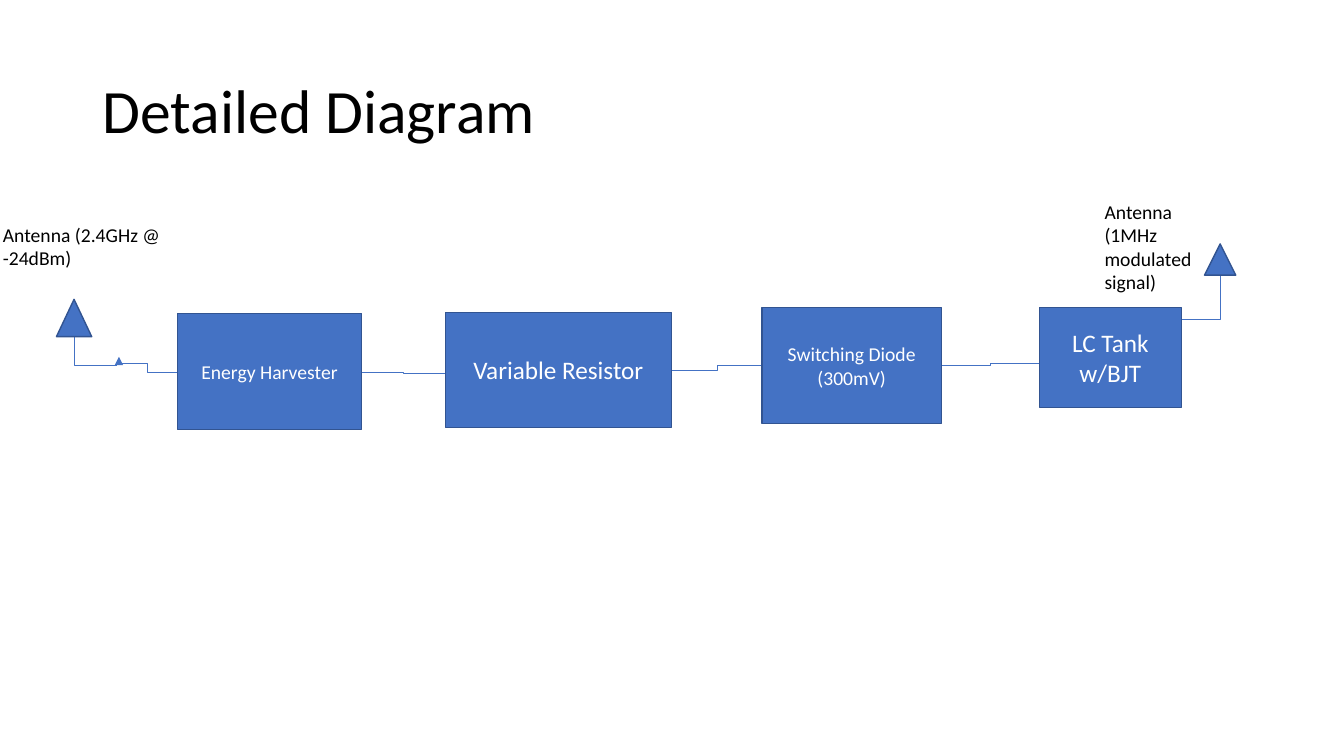
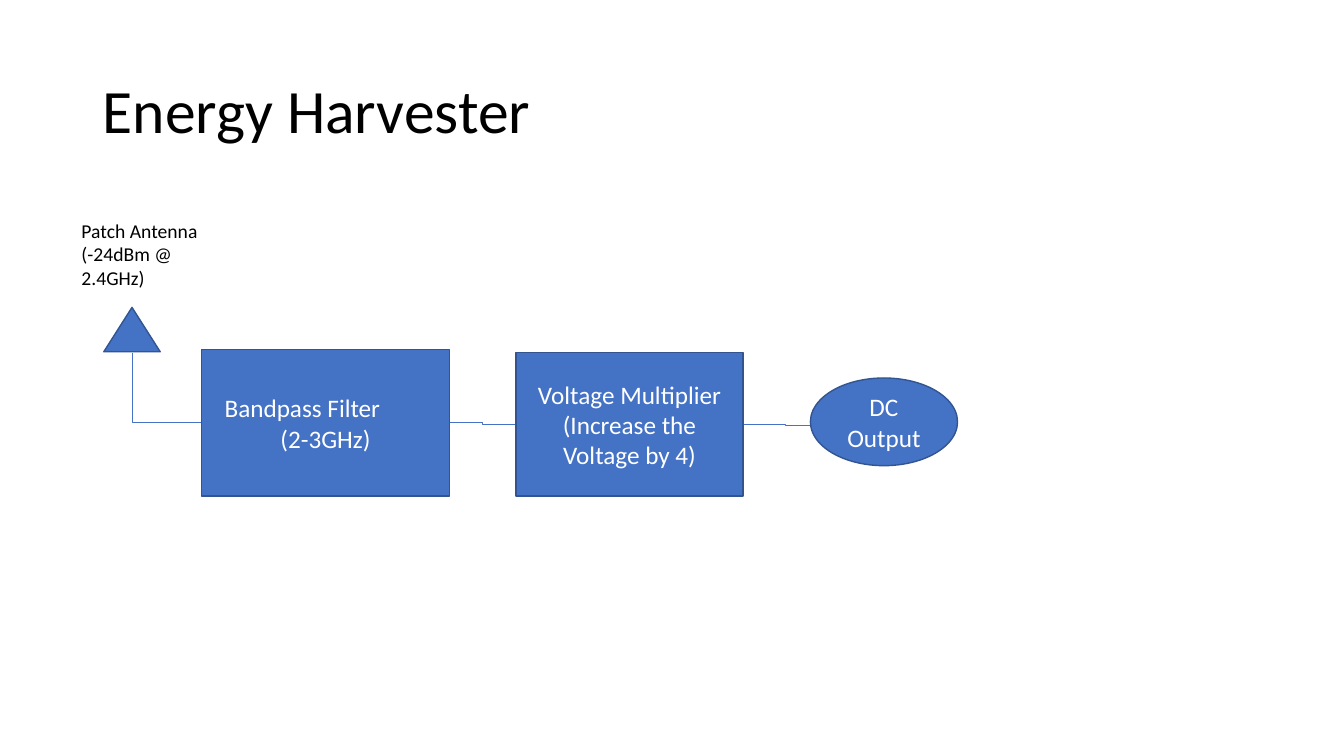
from lxml import etree
from pptx import Presentation, util as u
from pptx.dml.color import RGBColor
from pptx.enum import shapes, text
from pptx.oxml.ns import qn

PX = 9144
FONT = "Calibri"
BLUE, EDGE, BLACK, WHITE = "4472C4", "325491", "000000", "FFFFFF"
RECT = shapes.MSO_SHAPE.RECTANGLE
OVAL = shapes.MSO_SHAPE.OVAL
PEAK = shapes.MSO_SHAPE.ISOSCELES_TRIANGLE
LEFT, MID = text.PP_ALIGN.LEFT, text.PP_ALIGN.CENTER
TITLE = (92, 40, 1150, 145)


def hue(code):
    return RGBColor.from_string(code)


def write(shape, lines, size, ink, align, anchor):
    frame = shape.text_frame
    frame.word_wrap = True
    frame.vertical_anchor = anchor
    for i, line in enumerate(lines):
        para = frame.paragraphs[0] if i == 0 else frame.add_paragraph()
        para.alignment = align
        run = para.add_run()
        run.text = line
        run.font.size = u.Pt(size)
        run.font.name = FONT
        run.font.color.rgb = hue(ink)
    return frame


pages = [
    {
        "title": "Detailed Diagram",
        "nodes": [
            (RECT, (176, 311, 183, 115), ["Energy Harvester"], 14),
            (RECT, (442, 310, 224, 114), ["Variable Resistor"], 18),
            (RECT, (756, 305, 178, 115), ["Switching Diode (300mV)"], 14),
            (RECT, (1031, 305, 141, 99), ["LC Tank w/BJT"], 18),
            (PEAK, (56, 297, 35, 37), [], 14),
            (PEAK, (1195, 242, 31, 31), [], 14),
        ],
        "notes": [
            ((-7, 216, 179, 57), "Antenna (2.4GHz @ -24dBm)"),
            ((1086, 193, 123, 104), "Antenna (1MHz modulated signal)"),
        ],
        "wires": [
            ("bentConnector2", (116, 362, 74, 334)),
            ("bentConnector3", (176, 369, 116, 361)),
            ("bentConnector3", (359, 369, 442, 370)),
            ("bentConnector3", (667, 367, 756, 363)),
            ("bentConnector3", (933, 363, 1032, 361)),
            ("bentConnector2", (1171, 317, 1211, 273)),
        ],
        "arrows": [(118, 361, 118, 354)],
    },
    {
        "title": "Energy Harvester",
        "nodes": [
            (RECT, (200, 347, 246, 145), ["Bandpass Filter", "(2-3GHz)"], 18),
            (RECT, (512, 350, 225, 142),
             ["Voltage Multiplier (Increase the Voltage by 4)"], 18),
            (PEAK, (103, 305, 56, 44), [], 14),
            (OVAL, (804, 375, 146, 87), ["DC Output"], 18),
        ],
        "notes": [((71, 212, 155, 81), "Patch Antenna (-24dBm @ 2.4GHz)")],
        "wires": [
            ("bentConnector2", (200, 419, 131, 350)),
            ("bentConnector3", (446, 419, 512, 421)),
            ("bentConnector3", (738, 421, 821, 422)),
        ],
        "arrows": [],
    },
]

deck = Presentation()
deck.slide_width, deck.slide_height = 12192000, 750 * PX

for page in pages:
    slide = deck.slides.add_slide(deck.slide_layouts[6])
    tree = slide.shapes

    head = tree.add_textbox(*[n * PX for n in TITLE])
    frame = write(head, [page["title"]], 44, BLACK, LEFT, text.MSO_ANCHOR.MIDDLE)
    frame.paragraphs[0].line_spacing = 0.9

    wires = page["wires"] + [("line", ends) for ends in page["arrows"]]
    for form, ends in wires:
        kind = shapes.MSO_CONNECTOR.STRAIGHT if form == "line" else shapes.MSO_CONNECTOR.ELBOW
        wire = tree.add_connector(kind, *[n * PX for n in ends])
        wire.line.color.rgb = hue(BLUE)
        wire.line.width = u.Pt(0.5)
        props = wire.element.spPr
        props.find(qn("a:prstGeom")).set("prst", form)
        etree.SubElement(props, qn("a:effectLst"))
        if form == "line":
            etree.SubElement(props.find(qn("a:ln")), qn("a:tailEnd"), type="triangle")

    for kind, box, lines, size in page["nodes"]:
        node = tree.add_shape(kind, *[n * PX for n in box])
        node.shadow.inherit = False
        node.fill.solid()
        node.fill.fore_color.rgb = hue(BLUE)
        node.line.color.rgb = hue(EDGE)
        node.line.width = u.Pt(1)
        frame = write(node, lines, size, WHITE, MID, text.MSO_ANCHOR.MIDDLE)
        if len(lines) > 1:
            first = frame.paragraphs[0]
            first.alignment = LEFT
            first._p.get_or_add_pPr().set("marL", str(13 * PX))

    for box, label in page["notes"]:
        note = tree.add_textbox(*[n * PX for n in box])
        write(note, [label], 14, BLACK, LEFT, text.MSO_ANCHOR.TOP)

deck.save("out.pptx")
